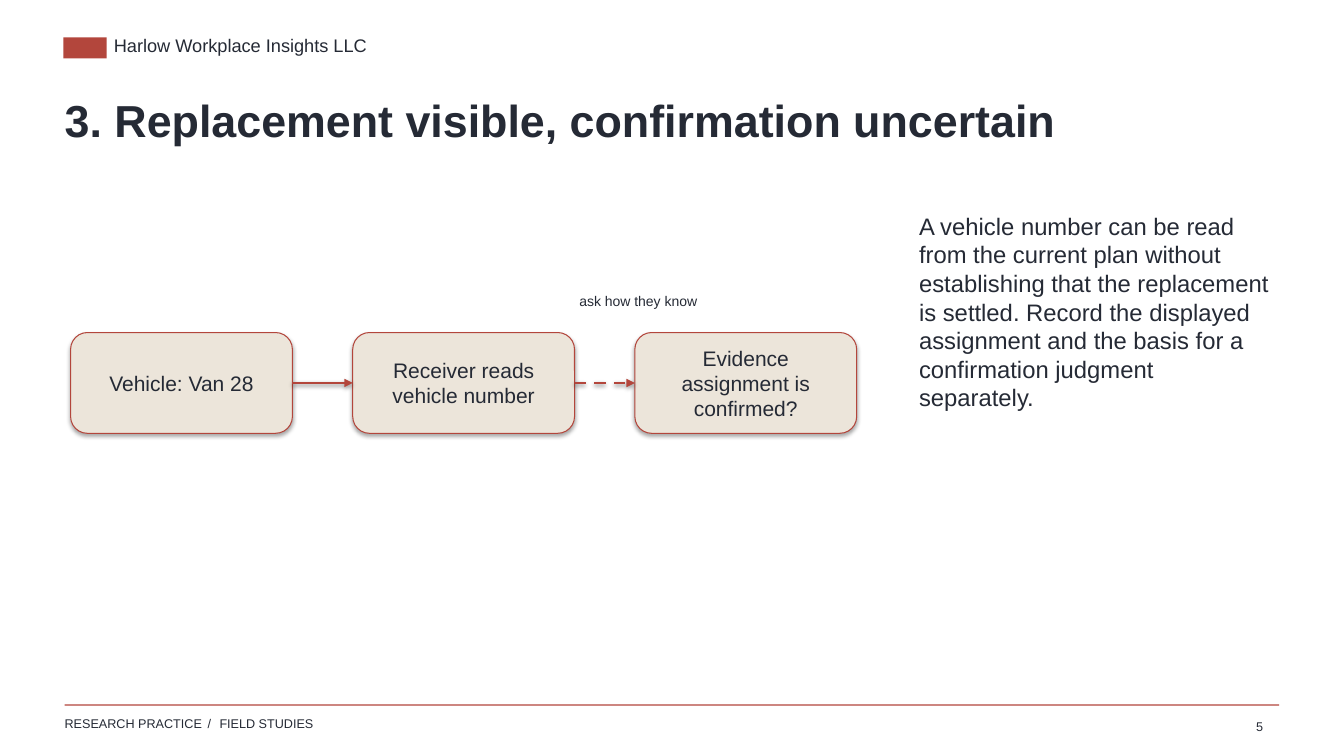
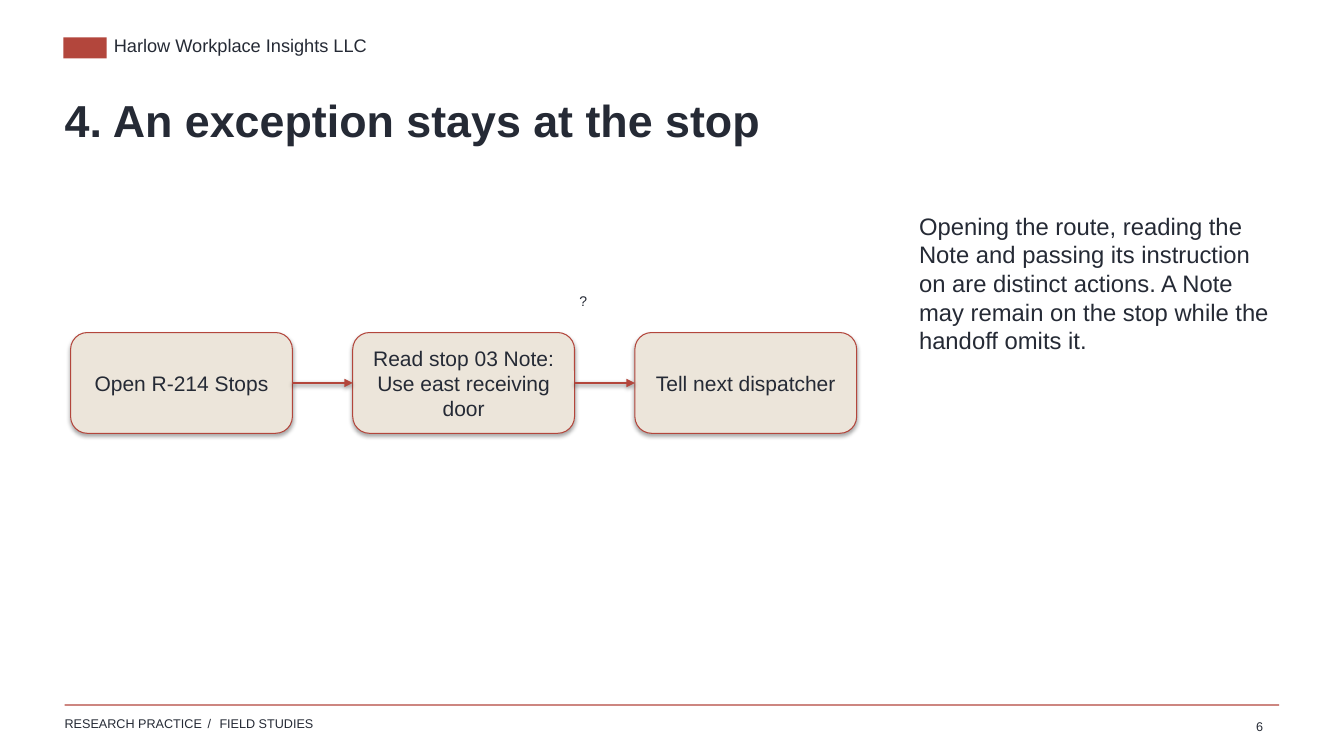
from dataclasses import dataclass

import pptx
import pptx.dml.color
import pptx.enum.dml
import pptx.enum.shapes
import pptx.enum.text
import pptx.oxml
import pptx.oxml.ns
import pptx.util

Cm = pptx.util.Cm
ALIGN = pptx.enum.text.PP_ALIGN
ANCHOR = pptx.enum.text.MSO_ANCHOR
AUTO_SIZE = pptx.enum.text.MSO_AUTO_SIZE
SHAPE = pptx.enum.shapes.MSO_SHAPE


@dataclass(frozen=True)
class Theme:
    font: str = "Arial"
    ink: str = "252A35"
    accent: str = "B3463C"
    panel: str = "ECE5DA"
    title: int = 32
    body: int = 17
    box: int = 15
    brand: int = 13
    label: int = 10
    footer: int = 9


class Deck:
    """Holds the presentation, its theme and the current slide."""

    MARGIN = 1.63
    BOX_LEFT, BOX_TOP, BOX_WIDTH, BOX_HEIGHT = 1.78, 8.38, 5.59, 2.54
    BOX_PITCH = 7.11

    def __init__(self, theme):
        self.theme = theme
        self.prs = pptx.Presentation()
        self.prs.slide_width, self.prs.slide_height = Cm(33.87), Cm(19.05)
        self.s = None

    def color(self, value):
        return pptx.dml.color.RGBColor.from_string(value)

    def run(self, p, text, size, bold=False):
        r = p.add_run()
        r.text = text
        r.font.name = self.theme.font
        r.font.size = pptx.util.Pt(size)
        r.font.bold = bold
        r.font.color.rgb = self.color(self.theme.ink)
        return r

    def inset(self, tf, right=0.0):
        tf.margin_left = tf.margin_top = 0
        tf.margin_right, tf.margin_bottom = Cm(right), Cm(0.13)

    def placeholder(self, sp, left, top, width, height):
        """Moves a placeholder and returns its plain, left-aligned first paragraph."""
        sp.left, sp.top, sp.width, sp.height = Cm(left), Cm(top), Cm(width), Cm(height)
        tf = sp.text_frame
        tf.word_wrap = True
        tf.auto_size = AUTO_SIZE.NONE
        tf.vertical_anchor = ANCHOR.TOP
        self.inset(tf)
        p = tf.paragraphs[0]
        p.alignment = ALIGN.LEFT
        p.space_before = 0
        return p

    def slide(self, title, body):
        self.s = self.prs.slides.add_slide(self.prs.slide_layouts[1])
        p = self.placeholder(self.s.shapes.title, self.MARGIN, 2.34, 30.48, 2.54)
        self.run(p, title, self.theme.title, bold=True)
        p = self.placeholder(self.s.placeholders[1], 23.16, 5.33, 8.84, 11.15)
        pPr = p._p.get_or_add_pPr()
        pPr.set("marL", "0")
        pPr.set("indent", "0")
        pPr.append(pptx.oxml.parse_xml(
            "<a:buNone %s/>" % pptx.oxml.ns.nsdecls("a")))
        self.run(p, body, self.theme.body)

    def textbox(self, left, top, width, height, text, size, align=ALIGN.LEFT):
        sp = self.s.shapes.add_textbox(Cm(left), Cm(top), Cm(width), Cm(height))
        tf = sp.text_frame
        tf.word_wrap = True
        p = tf.paragraphs[0]
        p.alignment = align
        self.run(p, text, size)
        return sp

    def bar(self, left, top, width, height):
        sp = self.s.shapes.add_shape(
            SHAPE.RECTANGLE, Cm(left), Cm(top), Cm(width), Cm(height))
        sp.shadow.inherit = False
        sp.fill.solid()
        sp.fill.fore_color.rgb = self.color(self.theme.accent)
        sp.line.fill.background()
        return sp

    def frame(self):
        """Draws the header and footer, then moves them to the slide master."""
        mark = self.bar(1.6, 0.94, 1.09, 0.53)
        brand = self.textbox(2.87, 0.86, 13.97, 0.76,
                             "Harlow Workplace Insights LLC", self.theme.brand)
        rule = self.bar(self.MARGIN, 17.75, 30.61, 0.03)
        footer = self.textbox(self.MARGIN, 18.03, 13.97, 0.61,
                              "RESEARCH PRACTICE", self.theme.footer)
        p = footer.text_frame.paragraphs[0]
        slash = self.run(p, " / ", self.theme.footer)
        slash.font._element.set("spc", "170")
        self.run(p, "FIELD STUDIES", self.theme.footer)
        for sp in (brand, footer):
            sp.text_frame.word_wrap = False
            self.inset(sp.text_frame, right=0.25)
        tree = self.prs.slide_master.shapes.element
        for number, sp in enumerate((mark, brand, rule, footer), 20):
            sp.element.xpath(".//p:cNvPr")[0].set("id", str(number))
            tree.append(sp.element)

    def box(self, index, text):
        """Adds a step box, which keeps the soft shadow of the template."""
        sp = self.s.shapes.add_shape(
            SHAPE.ROUNDED_RECTANGLE, Cm(self.BOX_LEFT + index * self.BOX_PITCH),
            Cm(self.BOX_TOP), Cm(self.BOX_WIDTH), Cm(self.BOX_HEIGHT))
        sp.fill.solid()
        sp.fill.fore_color.rgb = self.color(self.theme.panel)
        sp.line.color.rgb = self.color(self.theme.accent)
        sp.line.width = pptx.util.Pt(0.75)
        tf = sp.text_frame
        tf.word_wrap = True
        tf.vertical_anchor = ANCHOR.MIDDLE
        p = tf.paragraphs[0]
        p.alignment = ALIGN.CENTER
        self.run(p, text, self.theme.box)
        return sp

    def arrow(self, start, end, dashed=False):
        cxn = self.s.shapes.add_connector(
            pptx.enum.shapes.MSO_CONNECTOR.STRAIGHT, 0, 0, 0, 0)
        cxn.begin_connect(start, 3)
        cxn.end_connect(end, 1)
        cxn.line.color.rgb = self.color(self.theme.accent)
        cxn.line.width = pptx.util.Pt(2)
        if dashed:
            cxn.line.dash_style = pptx.enum.dml.MSO_LINE.DASH
        cxn.line._get_or_add_ln().append(pptx.oxml.parse_xml(
            '<a:tailEnd type="triangle" %s/>' % pptx.oxml.ns.nsdecls("a")))

    def flow(self, steps, label, last_dashed=False):
        boxes = [self.box(i, step) for i, step in enumerate(steps)]
        for start, end in zip(boxes, boxes[1:]):
            self.arrow(start, end, last_dashed and end is boxes[-1])
        self.textbox(14.35, 7.24, 5.84, 0.89, label, self.theme.label)

    def page_number(self, number):
        self.textbox(30.81, 17.98, 1.27, 0.64, str(number),
                     self.theme.footer, ALIGN.RIGHT)


def main():
    deck = Deck(Theme())

    deck.slide(
        "3. Replacement visible, confirmation uncertain",
        "A vehicle number can be read from the current plan without establishing "
        "that the replacement is settled. Record the displayed assignment and the "
        "basis for a confirmation judgment separately.")
    deck.frame()
    deck.flow(["Vehicle: Van 28", "Receiver reads vehicle number",
               "Evidence assignment is confirmed?"],
              "ask how they know", last_dashed=True)
    deck.page_number(5)

    deck.slide(
        "4. An exception stays at the stop",
        "Opening the route, reading the Note and passing its instruction on are "
        "distinct actions. A Note may remain on the stop while the handoff omits it.")
    deck.flow(["Open R-214 Stops", "Read stop 03 Note: Use east receiving door",
               "Tell next dispatcher"], "?")
    deck.page_number(6)

    deck.prs.save("out.pptx")


if __name__ == "__main__":
    main()
